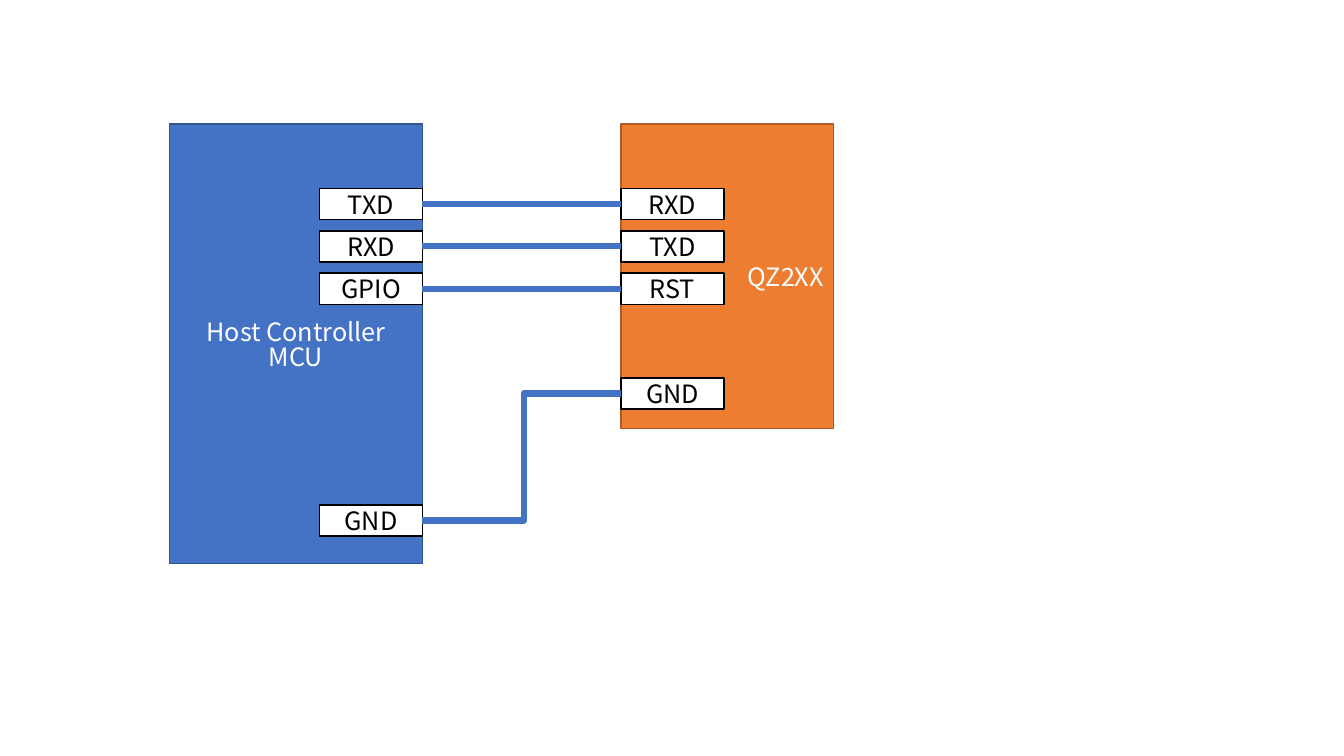
from dataclasses import dataclass

from lxml.etree import SubElement
from pptx import Presentation
from pptx.dml.color import RGBColor
from pptx.enum.shapes import MSO_CONNECTOR, MSO_SHAPE
from pptx.enum.text import MSO_ANCHOR, PP_ALIGN
from pptx.oxml.ns import qn
from pptx.util import Inches, Pt


@dataclass(frozen=True)
class Theme:
    """Colours, font and sizes of the wiring diagram."""

    font: str = "Noto Sans CJK SC"
    text_size: float = 18
    paragraph_pitch: float = 0.82
    outline: float = 1
    wire: float = 4.25
    ground_wire: float = 4.5
    blue: str = "4472C4"
    blue_edge: str = "325491"
    orange: str = "ED7D31"
    orange_edge: str = "AF5C24"
    white: str = "FFFFFF"
    black: str = "000000"


THEME = Theme()
HOST_LEFT, HOST_WIDTH = 1.68, 2.51
SENSOR_LEFT, SENSOR_WIDTH = 6.16, 2.11
DEVICE_TOP = 1.23
PIN_WIDTH, PIN_HEIGHT = 1.02, 0.31
PIN_TOP, PIN_PITCH = 1.87, 0.42
HOST_PIN_LEFT = HOST_LEFT + HOST_WIDTH - PIN_WIDTH
RIGHT_SITE, LEFT_SITE = 3, 1
SIGNALS = [("TXD", "RXD"), ("RXD", "TXD"), ("GPIO", "RST")]


def color(code):
    """Turn a hex code into a colour."""
    return RGBColor.from_string(code)


def add_box(slide, text, bounds, fill, edge, ink, align=PP_ALIGN.CENTER):
    """Add an outlined rectangle with a label."""
    box = slide.shapes.add_shape(MSO_SHAPE.RECTANGLE, *map(Inches, bounds))
    box.shadow.inherit = False
    box.fill.solid()
    box.fill.fore_color.rgb = color(fill)
    box.line.color.rgb = color(edge)
    box.line.width = Pt(THEME.outline)
    frame = box.text_frame
    frame.text = text
    frame.word_wrap = True
    frame.vertical_anchor = MSO_ANCHOR.MIDDLE
    for index, para in enumerate(frame.paragraphs):
        para.alignment = align
        if index:
            para.line_spacing = THEME.paragraph_pitch
        for span in para.runs:
            span.font.name = THEME.font
            span.font.size = Pt(THEME.text_size)
            span.font.color.rgb = color(ink)
    return box


def add_pin(slide, name, left, top):
    """Add a white pin label."""
    bounds = (left, top, PIN_WIDTH, PIN_HEIGHT)
    return add_box(slide, name, bounds, THEME.white, THEME.black, THEME.black)


def add_wire(slide, host_pin, sensor_pin, kind, width):
    """Connect the right side of a host pin to the left side of a sensor pin."""
    wire = slide.shapes.add_connector(
        kind,
        host_pin.left + host_pin.width,
        host_pin.top + host_pin.height // 2,
        sensor_pin.left,
        sensor_pin.top + sensor_pin.height // 2,
    )
    wire.begin_connect(host_pin, RIGHT_SITE)
    wire.end_connect(sensor_pin, LEFT_SITE)
    wire.line.color.rgb = color(THEME.blue)
    wire.line.width = Pt(width)
    SubElement(wire.element.spPr, qn("a:effectLst"))
    return wire


def bend_wire(wire, share):
    """Place the bend of an elbow wire at a share of its width."""
    guides = wire.element.spPr.find(qn("a:prstGeom")).get_or_add_avLst()
    guide = SubElement(guides, qn("a:gd"))
    guide.set("name", "adj1")
    guide.set("fmla", f"val {round(share * 100000)}")


def main():
    """Build the wiring slide and save it."""
    deck = Presentation()
    deck.slide_width, deck.slide_height = Inches(13.33), Inches(7.5)
    slide = deck.slides.add_slide(deck.slide_layouts.get_by_name("Blank"))

    host_bounds = (HOST_LEFT, DEVICE_TOP, HOST_WIDTH, 4.36)
    add_box(slide, "Host Controller\nMCU", host_bounds,
            THEME.blue, THEME.blue_edge, THEME.white)
    sensor_bounds = (SENSOR_LEFT, DEVICE_TOP, SENSOR_WIDTH, 3.02)
    add_box(slide, "QZ2XX", sensor_bounds,
            THEME.orange, THEME.orange_edge, THEME.white, PP_ALIGN.RIGHT)

    for row, (host_name, sensor_name) in enumerate(SIGNALS):
        top = PIN_TOP + row * PIN_PITCH
        host_pin = add_pin(slide, host_name, HOST_PIN_LEFT, top)
        sensor_pin = add_pin(slide, sensor_name, SENSOR_LEFT, top)
        add_wire(slide, host_pin, sensor_pin, MSO_CONNECTOR.STRAIGHT, THEME.wire)

    host_ground = add_pin(slide, "GND", HOST_PIN_LEFT, 5.01)
    sensor_ground = add_pin(slide, "GND", SENSOR_LEFT, 3.75)
    ground = add_wire(slide, host_ground, sensor_ground,
                      MSO_CONNECTOR.ELBOW, THEME.ground_wire)
    bend_wire(ground, 0.51)

    deck.save("out.pptx")


if __name__ == "__main__":
    main()
